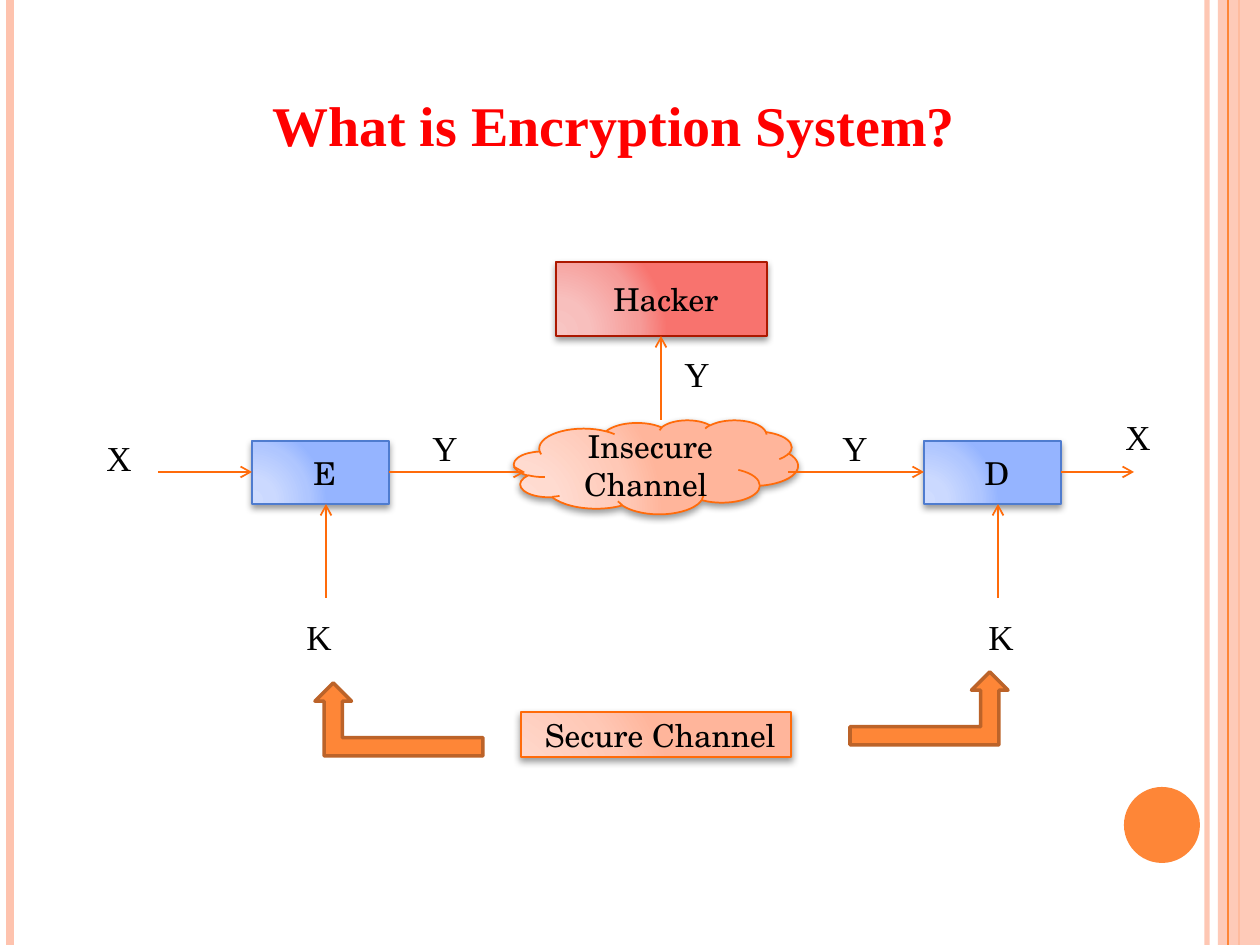
from lxml.etree import SubElement
from pptx import Presentation
from pptx.dml.color import RGBColor
from pptx.enum.shapes import MSO_CONNECTOR, MSO_SHAPE
from pptx.enum.text import MSO_ANCHOR, MSO_AUTO_SIZE, PP_ALIGN
from pptx.oxml.ns import qn
from pptx.util import Emu, Pt

PX_PER_INCH = 126
SERIF = "Times New Roman"
SCHOOLBOOK = "TeX Gyre Schola"
BLACK = RGBColor(0x00, 0x00, 0x00)
RED = RGBColor(0xFF, 0x00, 0x00)
PEACH = RGBColor(0xFE, 0xC3, 0xAE)
ORANGE = RGBColor(0xFE, 0x86, 0x37)
BROWN = RGBColor(0xBC, 0x63, 0x29)
DEEP_ORANGE = RGBColor(0xFF, 0x6B, 0x0A)
BLUE = RGBColor(0x4F, 0x7C, 0xCF)
DARK_RED = RGBColor(0xAC, 0x18, 0x00)

GRADIENT_STOPS = (0, 30, 75, 100)
PEACH_SHADES = [RGBColor(0xFF, 0xDE, 0xD5), RGBColor(0xFF, 0xDB, 0xD0),
                RGBColor(0xFF, 0xC8, 0xB6), RGBColor(0xFF, 0xB5, 0x9B)]
BLUE_SHADES = [RGBColor(0xCF, 0xDC, 0xFF), RGBColor(0xCB, 0xD9, 0xFF),
               RGBColor(0xAF, 0xC6, 0xFF), RGBColor(0x95, 0xB4, 0xFF)]
RED_SHADES = [RGBColor(0xF8, 0xC5, 0xC3), RGBColor(0xF8, 0xBF, 0xBD),
              RGBColor(0xF6, 0x9B, 0x98), RGBColor(0xF8, 0x73, 0x6E)]


def px(*lengths):
    return [Emu(round(length * 914400 / PX_PER_INCH)) for length in lengths]


def add_element(parent, tag, **attributes):
    return SubElement(parent, qn(tag), {name: str(value) for name, value in attributes.items()})


def add_color(parent, color, alpha=None):
    node = add_element(parent, "a:srgbClr", val=color)
    if alpha is not None:
        add_element(node, "a:alpha", val=alpha * 1000)


def set_alpha(parent, alpha):
    add_element(next(parent.iter(qn("a:srgbClr"))), "a:alpha", val=alpha * 1000)


def add_text(para, text, font, size, color, bold=False):
    span = para.add_run()
    span.text = text
    span.font.name = font
    span.font.size = Pt(size)
    span.font.color.rgb = color
    span.font.bold = bold


def add_title(page, text):
    title = page.shapes.title
    title.left, title.top, title.width, title.height = px(126, 84, 976, 81)
    frame = title.text_frame
    frame.vertical_anchor = MSO_ANCHOR.TOP
    frame.auto_size = MSO_AUTO_SIZE.SHAPE_TO_FIT_TEXT
    frame.paragraphs[0].alignment = PP_ALIGN.CENTER
    add_text(frame.paragraphs[0], text, SERIF, 32, RED, bold=True)


def add_shape(page, kind, area, fill, line=None, width=1):
    shape = page.shapes.add_shape(kind, *px(*area))
    shape.shadow.inherit = False
    shape.fill.solid()
    shape.fill.fore_color.rgb = fill
    if line is None:
        shape.line.fill.background()
    else:
        shape.line.color.rgb = line
        shape.line.width = Pt(width)
    return shape


def set_gradient(shape, shades):
    properties = shape._element.spPr
    gradient = add_element(properties, "a:gradFill", rotWithShape=1)
    stops = add_element(gradient, "a:gsLst")
    for position, color in zip(GRADIENT_STOPS, shades):
        add_color(add_element(stops, "a:gs", pos=position * 1000), color)
    focus = add_element(gradient, "a:path", path="circle")
    add_element(focus, "a:fillToRect", l=5000, t=100000, r=120000, b=10000)
    properties.replace(properties.find(qn("a:solidFill")), gradient)


def add_shadow(shape):
    effects = shape._element.spPr.find(qn("a:effectLst"))
    shadow = add_element(effects, "a:outerShdw", blurRad=Pt(4), dist=Pt(2),
                         dir=5400000, rotWithShape=0)
    add_color(shadow, BLACK, 40)


def add_node(page, kind, area, text, shades, line):
    box = add_shape(page, kind, area, shades[-1], line)
    set_gradient(box, shades)
    add_shadow(box)
    frame = box.text_frame
    frame.word_wrap = True
    frame.vertical_anchor = MSO_ANCHOR.MIDDLE
    frame.paragraphs[0].alignment = PP_ALIGN.CENTER
    add_text(frame.paragraphs[0], text, SCHOOLBOOK, 18, BLACK)


def add_label(page, left, top, text):
    box = page.shapes.add_textbox(*px(left, top, 73, 55))
    box.text_frame.word_wrap = True
    add_text(box.text_frame.paragraphs[0], text, SERIF, 20, BLACK)


def add_line(page, start, end, color, width):
    line = page.shapes.add_connector(MSO_CONNECTOR.STRAIGHT, *px(*start, *end))
    line.line.color.rgb = color
    line.line.width = Pt(width)
    add_element(line._element.spPr, "a:effectLst")
    return line


def add_arrow(page, start, end):
    arrow = add_line(page, start, end, DEEP_ORANGE, 1)
    add_element(arrow._element.spPr.find(qn("a:ln")), "a:tailEnd", type="arrow")


def add_key_arrow(page, area, mirrored=False):
    arrow = add_shape(page, MSO_SHAPE.BENT_UP_ARROW, area, ORANGE, BROWN, 2)
    if mirrored:
        arrow._element.spPr.find(qn("a:xfrm")).set("flipH", "1")


def add_stripe(page, x, color, width):
    return add_line(page, (x, 0), (x, 945), color, width)


def add_decoration(page):
    set_alpha(add_stripe(page, 1207, PEACH, 3)._element, 93)
    add_stripe(page, 10, PEACH, 4.5)
    add_stripe(page, 1239, ORANGE, 1.5)
    band = add_shape(page, MSO_SHAPE.RECTANGLE, (1218, 0, 42, 945), PEACH)
    set_alpha(band._element.spPr, 87)
    add_stripe(page, 1228, ORANGE, 0.75)
    add_shape(page, MSO_SHAPE.OVAL, (1124, 787, 76, 76), ORANGE)


def add_diagram(page):
    add_node(page, MSO_SHAPE.CLOUD, (514, 420, 284, 94), " Insecure Channel",
             PEACH_SHADES, DEEP_ORANGE)
    for left, text in ((252, " E"), (924, " D")):
        add_node(page, MSO_SHAPE.RECTANGLE, (left, 441, 137, 63), text, BLUE_SHADES, BLUE)
    for start, end in ((158, 252), (389, 525), (788, 924), (1061, 1134)):
        add_arrow(page, (start, 472), (end, 472))
    for x in (326, 998):
        add_arrow(page, (x, 598), (x, 504))
    labels = ((94, 430, "X"), (1113, 409, "X"), (420, 420, "Y"), (830, 420, "Y"),
              (294, 609, "K"), (976, 609, "K"), (672, 346, "Y"))
    for left, top, text in labels:
        add_label(page, left, top, text)
    add_node(page, MSO_SHAPE.MATH_MINUS, (472, 640, 368, 189), " Secure Channel",
             PEACH_SHADES, DEEP_ORANGE)
    add_key_arrow(page, (315, 683, 168, 73), mirrored=True)
    add_key_arrow(page, (850, 672, 158, 73))
    add_node(page, MSO_SHAPE.RECTANGLE, (556, 262, 211, 74), " Hacker", RED_SHADES, DARK_RED)
    add_arrow(page, (661, 420), (661, 336))


def main():
    deck = Presentation()
    deck.slide_width, deck.slide_height = px(1260, 945)
    page = deck.slides.add_slide(deck.slide_layouts[5])
    add_decoration(page)
    add_title(page, "What is Encryption System?")
    add_diagram(page)
    deck.save("out.pptx")


if __name__ == "__main__":
    main()
